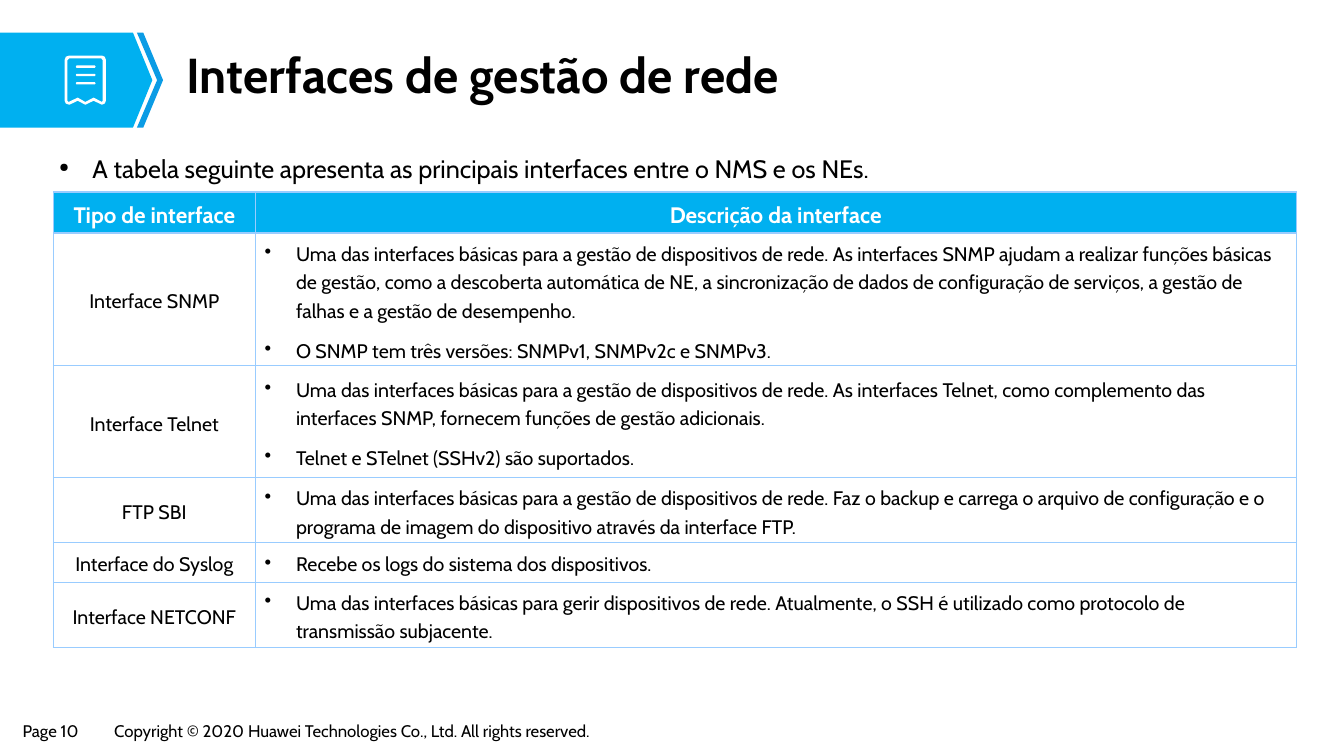
from lxml import etree
from pptx import Presentation
from pptx.dml.color import RGBColor
from pptx.enum.text import MSO_ANCHOR, MSO_AUTO_SIZE, PP_ALIGN
from pptx.oxml.ns import qn
from pptx.util import Cm, Pt

CENTER, JUSTIFY, LEFT = PP_ALIGN.CENTER, PP_ALIGN.JUSTIFY, PP_ALIGN.LEFT
BOTTOM, MIDDLE = MSO_ANCHOR.BOTTOM, MSO_ANCHOR.MIDDLE
GROW = MSO_AUTO_SIZE.SHAPE_TO_FIT_TEXT

BLACK = RGBColor(0x00, 0x00, 0x00)
WHITE = RGBColor(0xFF, 0xFF, 0xFF)
SKY = RGBColor(0x00, 0xB0, 0xF0)
BLUE = RGBColor(0x0B, 0x9C, 0xE5)
BORDER = RGBColor(0x99, 0xCC, 0xFF)

HEADERS = ["Tipo de interface", "Descrição da interface"]
INTERFACES = [
    ("Interface SNMP", [
        "Uma das interfaces básicas para a gestão de dispositivos de rede. As interfaces SNMP "
        "ajudam a realizar funções básicas de gestão, como a descoberta automática de NE, a "
        "sincronização de dados de configuração de serviços, a gestão de falhas e a gestão de "
        "desempenho.",
        "O SNMP tem três versões: SNMPv1, SNMPv2c e SNMPv3."]),
    ("Interface Telnet", [
        "Uma das interfaces básicas para a gestão de dispositivos de rede. As interfaces Telnet, "
        "como complemento das interfaces SNMP, fornecem funções de gestão adicionais.",
        "Telnet e STelnet (SSHv2) são suportados."]),
    ("FTP SBI", [
        "Uma das interfaces básicas para a gestão de dispositivos de rede. Faz o backup e carrega "
        "o arquivo de configuração e o programa de imagem do dispositivo através da interface FTP."]),
    ("Interface do Syslog", ["Recebe os logs do sistema dos dispositivos."]),
    ("Interface NETCONF", [
        "Uma das interfaces básicas para gerir dispositivos de rede. Atualmente, o SSH é utilizado "
        "como protocolo de transmissão subjacente."]),
]
COLUMN_WIDTHS = [5.08, 26.24]
ROW_HEIGHTS = [1.02, 3.33, 2.82, 1.63, 0.99, 1.63]

TAG = [(335, 322), (0, 322), (0, 82), (335, 82), (384, 202)]
CHEVRON = [(361, 82), (345, 82), (396, 202), (345, 322), (361, 322), (411, 202)]
SHEET_OUTER = [(163, 151), (166, 143), (175, 140), (257, 140), (264, 143), (267, 151),
               (267, 254), (264, 261), (257, 264), (236, 254), (215, 264), (196, 254),
               (175, 264), (166, 261), (163, 254)]
SHEET_INNER = [(170, 152), (175, 147), (255, 147), (259, 152), (259, 254), (257, 257),
               (236, 246), (215, 257), (196, 246), (173, 257), (170, 254)]
SHEET_LINES = [[(193, y), (239, y), (241, y + 3), (239, y + 6), (193, y + 6), (191, y + 3)]
               for y in range(165, 208, 21)]


def write(frame, text, size=14, color=BLACK, bold=False, align=LEFT, spacing=1.0,
          bullet=None, bullet_scale=100, indent=0.79):
    """Fill a text frame with one paragraph per line of text."""
    for index, line in enumerate(text.split("\n")):
        paragraph = frame.add_paragraph() if index else frame.paragraphs[0]
        if bullet:
            properties = paragraph._p.get_or_add_pPr()
            properties.set("marL", str(Cm(indent)))
            properties.set("indent", str(-Cm(indent)))
            scale = etree.SubElement(properties, qn("a:buSzPct"))
            scale.set("val", str(bullet_scale * 1000))
            etree.SubElement(properties, qn("a:buChar")).set("char", bullet)
        paragraph.alignment = align
        paragraph.line_spacing = spacing
        if index:
            paragraph.space_before = Pt(7.9)
        run = paragraph.add_run()
        run.text = line
        run.font.name = "Cabin"
        run.font.size = Pt(size)
        run.font.bold = bold
        run.font.color.rgb = color


class SlideBuilder:
    """Draws styled elements on one slide."""

    def __init__(self, slide):
        self.slide = slide

    def outline(self, contours, fill):
        """Draw a filled outline from contours in hundredths of a centimetre."""
        builder = self.slide.shapes.build_freeform(*contours[0][0], scale=Cm(0.01))
        for index, contour in enumerate(contours):
            if index:
                builder.move_to(*contour[0])
            builder.add_line_segments(contour[1:], close=True)
        shape = builder.convert_to_shape()
        shape.shadow.inherit = False
        shape.fill.solid()
        shape.fill.fore_color.rgb = fill
        shape.line.fill.background()

    def text(self, box, text, wrap=True, inset=(0.24, 0.11), **text_format):
        """Add a text box given as left, top, width and height."""
        shape = self.slide.shapes.add_textbox(*map(Cm, box))
        frame = shape.text_frame
        frame.word_wrap = wrap
        if not wrap:
            frame.auto_size = GROW
        frame.margin_left = frame.margin_right = Cm(inset[0])
        frame.margin_top = frame.margin_bottom = Cm(inset[1])
        write(frame, text, **text_format)

    def cell(self, cell, text, anchor=MIDDLE, fill=None, **text_format):
        """Style and fill one table cell."""
        cell.vertical_anchor = anchor
        cell.margin_left = cell.margin_right = Cm(0.24)
        cell.margin_top = cell.margin_bottom = Cm(0.11)
        properties = cell._tc.get_or_add_tcPr()
        for side in ("lnL", "lnR", "lnT", "lnB"):
            line = etree.SubElement(properties, qn(f"a:{side}"), w=str(Pt(1)))
            solid = etree.SubElement(line, qn("a:solidFill"))
            etree.SubElement(solid, qn("a:srgbClr")).set("val", str(BORDER))
        if fill is None:
            cell.fill.background()
        else:
            cell.fill.solid()
            cell.fill.fore_color.rgb = fill
        write(cell.text_frame, text, spacing=1.2, **text_format)

    def interface_table(self, left, top):
        """Add the table of interfaces and their descriptions."""
        table = self.slide.shapes.add_table(
            len(ROW_HEIGHTS), len(COLUMN_WIDTHS), Cm(left), Cm(top),
            Cm(sum(COLUMN_WIDTHS)), Cm(sum(ROW_HEIGHTS))).table
        table.first_row = table.horz_banding = False
        for column, width in zip(table.columns, COLUMN_WIDTHS):
            column.width = Cm(width)
        for row, height in zip(table.rows, ROW_HEIGHTS):
            row.height = Cm(height)
        for column, header in enumerate(HEADERS):
            self.cell(table.cell(0, column), header, anchor=BOTTOM, fill=SKY, size=16,
                      color=WHITE, bold=True, align=CENTER)
        for row, (name, descriptions) in enumerate(INTERFACES, 1):
            self.cell(table.cell(row, 0), name, align=CENTER)
            self.cell(table.cell(row, 1), "\n".join(descriptions), bullet="•")


def main():
    """Build the slide and save it."""
    presentation = Presentation()
    presentation.slide_width, presentation.slide_height = Cm(33.87), Cm(19.05)
    builder = SlideBuilder(presentation.slides.add_slide(presentation.slide_layouts[6]))
    builder.text((0.33, 18.06, 2.06, 0.74), "Page 10", wrap=False, size=12)
    builder.text((2.64, 18.06, 13.74, 0.74),
                 "Copyright © 2020 Huawei Technologies Co., Ltd. All rights reserved.",
                 wrap=False, size=12)
    builder.outline([TAG], SKY)
    builder.outline([CHEVRON], BLUE)
    builder.outline([SHEET_OUTER, SHEET_INNER], WHITE)
    builder.outline(SHEET_LINES, WHITE)
    builder.text((1.25, 3.46, 31.4, 13),
                 "A tabela seguinte apresenta as principais interfaces entre o NMS e os NEs.",
                 size=18, align=JUSTIFY, spacing=1.4, bullet="●", bullet_scale=50, indent=0.84)
    builder.text((4.42, 1.14, 27.3, 1.78), "Interfaces de gestão de rede",
                 inset=(0.28, 0.15), size=35, bold=True, spacing=0.9)
    builder.interface_table(1.35, 4.84)
    presentation.save("out.pptx")


if __name__ == "__main__":
    main()
